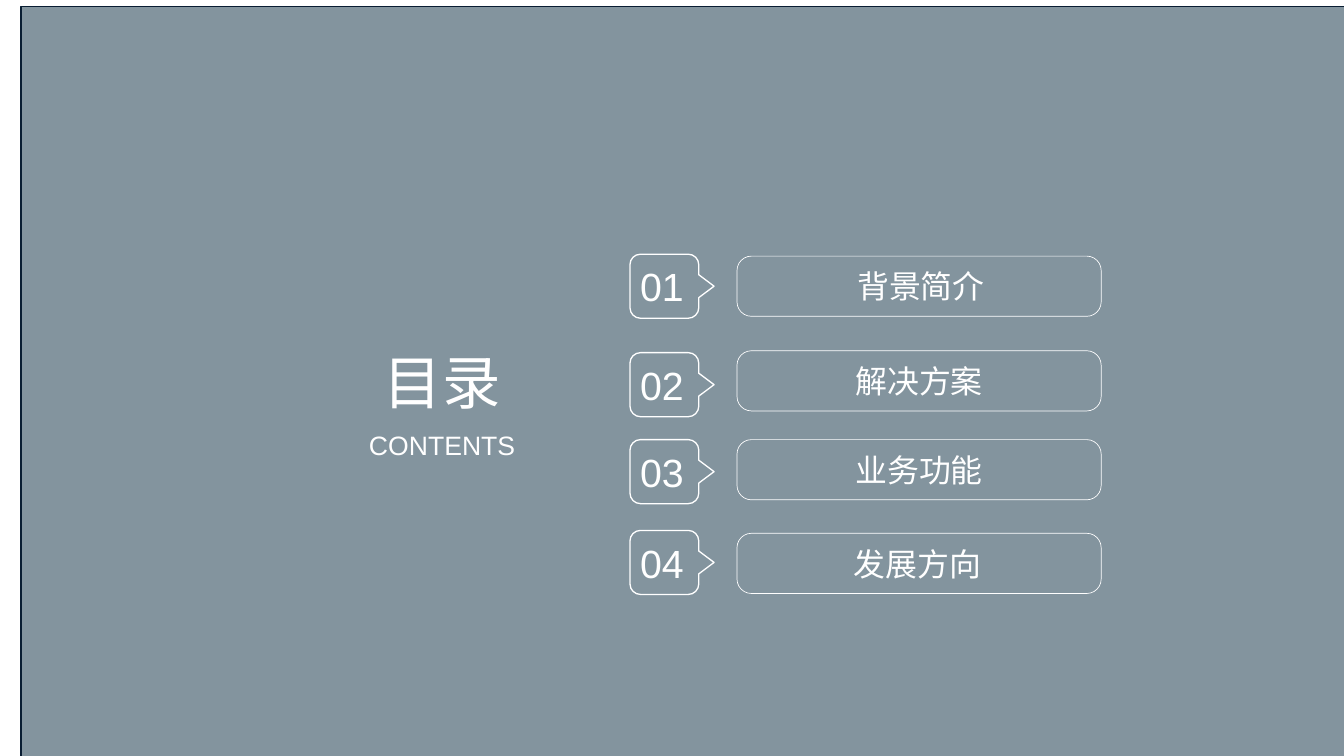
from dataclasses import dataclass

from pptx import Presentation
from pptx.dml import color
from pptx.enum import shapes, text
from pptx.oxml import ns
from pptx.util import Inches, Pt
from lxml import etree


@dataclass(frozen=True)
class Theme:
    """Colours, font and type sizes of the slide."""
    veil: str = "092A3F"
    edge: str = "091D32"
    white: str = "FFFFFF"
    font: str = "Arial"
    title: float = 44
    sub: float = 20
    item: float = 24
    num: float = 29.6


THEME = Theme()
ITEMS = [
    ("背景简介", 2.66, 2.68, (0.04, 0, 0, 0)),
    ("解决方案", 3.69, 3.67, (0, 0, 0, 0)),
    ("业务功能", 4.6, 4.6, (0, 0, 0, 0)),
    ("发展方向", 5.55, 5.58, (0, 0, 0.03, 0)),
]


def rgb(code):
    """Turn a hex code into a colour."""
    return color.RGBColor.from_string(code)


def write(shape, words, size, anchor, inset=(0, 0, 0, 0)):
    """Put centred white text into a shape."""
    frame = shape.text_frame
    frame.word_wrap = True
    frame.auto_size = text.MSO_AUTO_SIZE.NONE
    frame.vertical_anchor = anchor
    (frame.margin_left, frame.margin_top,
     frame.margin_right, frame.margin_bottom) = map(Inches, inset)
    frame.text = words
    para = frame.paragraphs[0]
    para.alignment = text.PP_ALIGN.CENTER
    para.font.name = THEME.font
    para.font.size = Pt(size)
    para.font.color.rgb = rgb(THEME.white)


def outline(shape, code, width):
    """Give a shape a plain line and no fill or shadow."""
    shape.shadow.inherit = False
    shape.fill.background()
    shape.line.color.rgb = rgb(code)
    shape.line.width = Pt(width)


def add_veil(slide):
    """Lay the half-clear panel behind everything else."""
    veil = slide.shapes.add_shape(
        shapes.MSO_SHAPE.RECTANGLE,
        Inches(0.22), Inches(0.07), Inches(14.06), Inches(7.91))
    outline(veil, THEME.edge, 1)
    veil.fill.solid()
    veil.fill.fore_color.rgb = rgb(THEME.veil)
    tint = veil.fill._xPr.find(".//" + ns.qn("a:srgbClr"))
    etree.SubElement(tint, ns.qn("a:alpha"), val="50000")
    slide.shapes._spTree.insert(2, veil._element)


def add_title(slide, words):
    """Place and format the title."""
    title = slide.shapes.title
    title.left, title.top = Inches(3.38), Inches(3.62)
    title.width, title.height = Inches(2.49), Inches(0.74)
    write(title, words, THEME.title, text.MSO_ANCHOR.TOP)


def add_sub(slide, words):
    """Add the line under the title."""
    box = slide.shapes.add_textbox(
        Inches(3.32), Inches(4.49), Inches(2.61), Inches(0.34))
    write(box, words, THEME.sub, text.MSO_ANCHOR.TOP)


def bend(line, start, corner, end):
    """Turn a straight outline segment into a rounded corner."""
    curve = etree.Element(ns.qn("a:cubicBezTo"))
    pulls = [[a + 0.55 * (b - a) for a, b in zip(side, corner)]
             for side in (start, end)]
    for x, y in (*pulls, end):
        etree.SubElement(curve, ns.qn("a:pt"),
                         x=str(int(Inches(x))), y=str(int(Inches(y))))
    line.getparent().replace(line, curve)


def add_tag(slide, words, top):
    """Add a rounded number tag that points right."""
    left, wide, high, cut = 6.59, 0.72, 0.67, 0.11
    mid = high / 2
    points = [
        (wide - cut, 0), (cut, 0), (0, cut), (0, high - cut),
        (cut, high), (wide - cut, high), (wide, high - cut),
        (wide, mid + 0.12), (0.88, mid), (wide, mid - 0.12),
        (wide, cut), (wide - cut, 0),
    ]
    corners = {2: (0, 0), 4: (0, high), 6: (wide, high), 11: (wide, 0)}
    spots = [(Inches(left + x), Inches(top + y)) for x, y in points]
    trace = slide.shapes.build_freeform(*spots[0])
    trace.add_line_segments(spots[1:], close=True)
    tag = trace.convert_to_shape()
    lines = list(tag._element.iter(ns.qn("a:lnTo")))
    for spot, corner in corners.items():
        bend(lines[spot - 1], points[spot - 1], corner, points[spot])
    outline(tag, THEME.white, 1)
    write(tag, words, THEME.num, text.MSO_ANCHOR.MIDDLE, (0, 0.05, 0.21, 0.05))


def add_pill(slide, words, top, inset):
    """Add a rounded box with a chapter name."""
    pill = slide.shapes.add_shape(
        shapes.MSO_SHAPE.ROUNDED_RECTANGLE,
        Inches(7.71), Inches(top), Inches(3.81), Inches(0.63))
    pill.adjustments[0] = 0.24
    outline(pill, THEME.white, 0.5)
    write(pill, words, THEME.item, text.MSO_ANCHOR.MIDDLE, inset)


def main():
    """Build the contents slide and save it."""
    deck = Presentation()
    deck.slide_width, deck.slide_height = Inches(14.06), Inches(7.91)
    slide = deck.slides.add_slide(deck.slide_layouts[5])
    add_veil(slide)
    add_title(slide, "目录")
    add_sub(slide, "CONTENTS")
    for num, (name, tag, pill, inset) in enumerate(ITEMS, 1):
        add_pill(slide, name, pill, inset)
        add_tag(slide, f"{num:02}", tag)
    deck.save("out.pptx")


if __name__ == "__main__":
    main()
